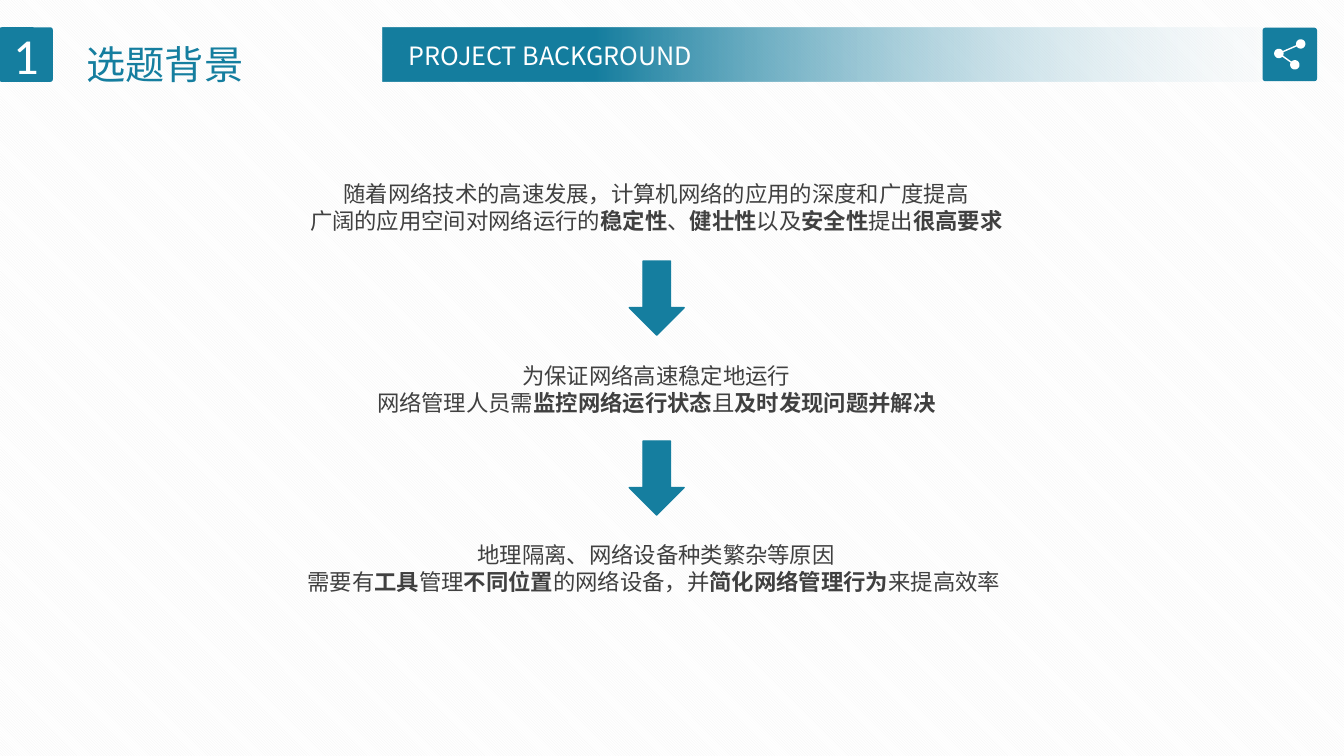
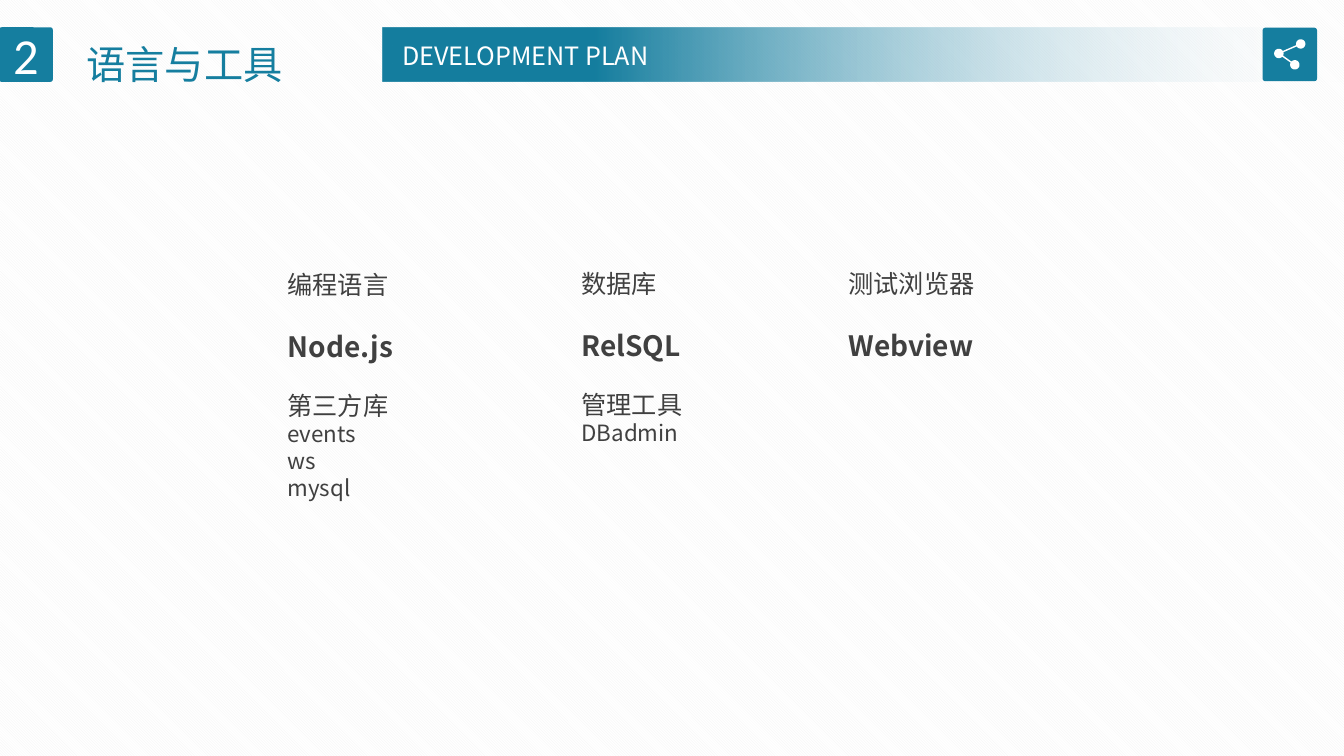
"""Build two slides on a project's background and its languages and tools."""
from math import atan2, cos, pi, sin
from lxml.etree import SubElement
from pptx import Presentation
from pptx.dml.color import RGBColor
from pptx.enum.dml import MSO_PATTERN
from pptx.enum.shapes import MSO_SHAPE
from pptx.enum.text import MSO_ANCHOR as Anchor, PP_ALIGN as Align
from pptx.oxml.ns import qn
from pptx.util import Pt

TEAL, WHITE, INK, PALE, STRIPE = "157E9F", "FFFFFF", "404040", "F7FAFD", "F2F2F2"
SANS, DIGITS = "Noto Sans CJK SC", "Calibri"


def rgb(value):
    return RGBColor.from_string(value)


def arc(center, radius, start, end, steps=24):
    angles = (start + (end - start) * step / steps for step in range(steps + 1))
    return [(Pt(center[0] + radius * cos(angle)), Pt(center[1] + radius * sin(angle)))
            for angle in angles]


def write(frame, text, size=16, color=INK, font=SANS, bold=False,
          align=Align.LEFT, leading=1.2, before=0, first=True):
    """Write one paragraph; parts between asterisks are bold."""
    para = frame.paragraphs[0] if first else frame.add_paragraph()
    para.alignment = align
    para.space_before = Pt(before)
    para.line_spacing = Pt(round(size * leading, 2))
    for index, part in enumerate(text.split("*")):
        if not part:
            continue
        span = para.add_run()
        span.text = part
        span.font.size = Pt(size)
        span.font.bold = bold or index % 2 == 1
        span.font.name = font
        span.font.color.rgb = rgb(color)
        SubElement(span._r.get_or_add_rPr(), qn("a:ea"), typeface=font)


class Deck:
    def __init__(self):
        self.deck = Presentation()
        self.deck.slide_width, self.deck.slide_height = Pt(960), Pt(540)
        backdrop = self.deck.slide_master.background.fill
        backdrop.patterned()
        backdrop.pattern = MSO_PATTERN.DARK_DOWNWARD_DIAGONAL
        backdrop.fore_color.rgb = rgb(STRIPE)
        backdrop.back_color.rgb = rgb(WHITE)

    def paint(self, shape, fill, outline=None):
        shape.shadow.inherit = False
        shape.fill.solid()
        shape.fill.fore_color.rgb = rgb(fill)
        if outline:
            shape.line.color.rgb = rgb(outline)
            shape.line.width = Pt(1)
        else:
            shape.line.fill.background()
        return shape

    def shape(self, kind, left, top, width, height, outline=None):
        shape = self.page.shapes.add_shape(
            kind, Pt(left), Pt(top), Pt(width), Pt(height))
        return self.paint(shape, TEAL, outline)

    def tile(self, left, top, width, height):
        tile = self.shape(MSO_SHAPE.ROUNDED_RECTANGLE, left, top, width, height)
        tile.adjustments[0] = 0.05
        return tile

    def text(self, left, top, width, height):
        box = self.page.shapes.add_textbox(Pt(left), Pt(top), Pt(width), Pt(height))
        box.text_frame.word_wrap = True
        return box.text_frame

    def band(self):
        band = self.shape(MSO_SHAPE.RECTANGLE, 273.3, 19.6, 686.7, 38.6)
        band.fill.gradient()
        band.fill.gradient_angle = 180
        for stop, color, position in zip(
                band.fill.gradient_stops, (PALE, TEAL), (0, 0.78)):
            stop.color.rgb = rgb(color)
            stop.position = position
        clear = band._element.xpath(".//a:gs/a:srgbClr")[0]
        SubElement(clear, qn("a:alpha"), val="0")

    def share_icon(self):
        self.tile(901.9, 19.8, 38.9, 38.2)
        hub, upper, lower = (913.5, 38.2), (929.1, 31.4), (924.9, 46.3)
        radius, gap = 3.35, 0.15
        rise, fall = (atan2(dot[1] - hub[1], dot[0] - hub[0]) for dot in (upper, lower))
        outline = (
            arc(upper, radius, rise + pi + gap, rise + 3 * pi - gap)
            + arc(hub, radius, rise + gap, fall - gap)
            + arc(lower, radius, fall + pi + gap, fall + 3 * pi - gap)
            + arc(hub, radius, fall + gap, rise + 2 * pi - gap))
        builder = self.page.shapes.build_freeform(*outline[0])
        builder.add_line_segments(outline[1:], close=True)
        self.paint(builder.convert_to_shape(), WHITE)

    def start(self, number, title, caption, caption_left):
        self.page = self.deck.slides.add_slide(self.deck.slide_layouts[6])
        frame = self.tile(-0.7, 19.5, 38.5, 39).text_frame
        frame.vertical_anchor = Anchor.MIDDLE
        write(frame, number, size=36, color=WHITE, font=DIGITS, align=Align.CENTER)
        self.band()
        write(self.text(caption_left, 25.2, 435, 28.8), caption, size=18, color=WHITE)
        self.share_icon()
        write(self.text(54.8, 8.6, 200, 58), title, size=28, color=TEAL, leading=1.8)

    def statement(self, top, lines):
        frame = self.text(145.8, top, 646, 46)
        for index, text in enumerate(lines):
            write(frame, text, align=Align.CENTER, first=index == 0)

    def arrow(self, top):
        self.shape(MSO_SHAPE.DOWN_ARROW, 449.5, top, 39.2, 52.9, outline=TEAL)

    def column(self, left, top, width, label, name, extra=None, items=()):
        frame = self.text(left, top, width, 175)
        write(frame, label, size=18)
        write(frame, name, size=20, bold=True, before=21.6, first=False)
        if extra:
            write(frame, extra, size=18, before=19.2, first=False)
        for item in items:
            write(frame, item, first=False)


talk = Deck()

talk.start("1", "选题背景", "PROJECT BACKGROUND", 284.8)
talk.statement(124.9, (
    "随着网络技术的高速发展，计算机网络的应用的深度和广度提高",
    "广阔的应用空间对网络运行的*稳定性*、*健壮性*以及*安全性*提出*很高要求*"))
talk.statement(254.9, (
    "为保证网络高速稳定地运行",
    "网络管理人员需*监控网络运行状态*且*及时发现问题并解决*"))
talk.statement(383, (
    "地理隔离、网络设备种类繁杂等原因",
    "需要有*工具*管理*不同位置*的网络设备，并*简化网络管理行为*来提高效率 "))
for arrow_top in (186.5, 315):
    talk.arrow(arrow_top)

talk.start("2", "语言与工具", "DEVELOPMENT PLAN", 280.1)
talk.column(198.3, 188.6, 152, "编程语言", "Node.js", "第三方库",
            ("events", "ws", "mysql"))
talk.column(408.3, 188.1, 132, "数据库", "RelSQL", "管理工具", ("DBadmin",))
talk.column(599, 188.1, 204, "测试浏览器", "Webview")

talk.deck.save("out.pptx")
